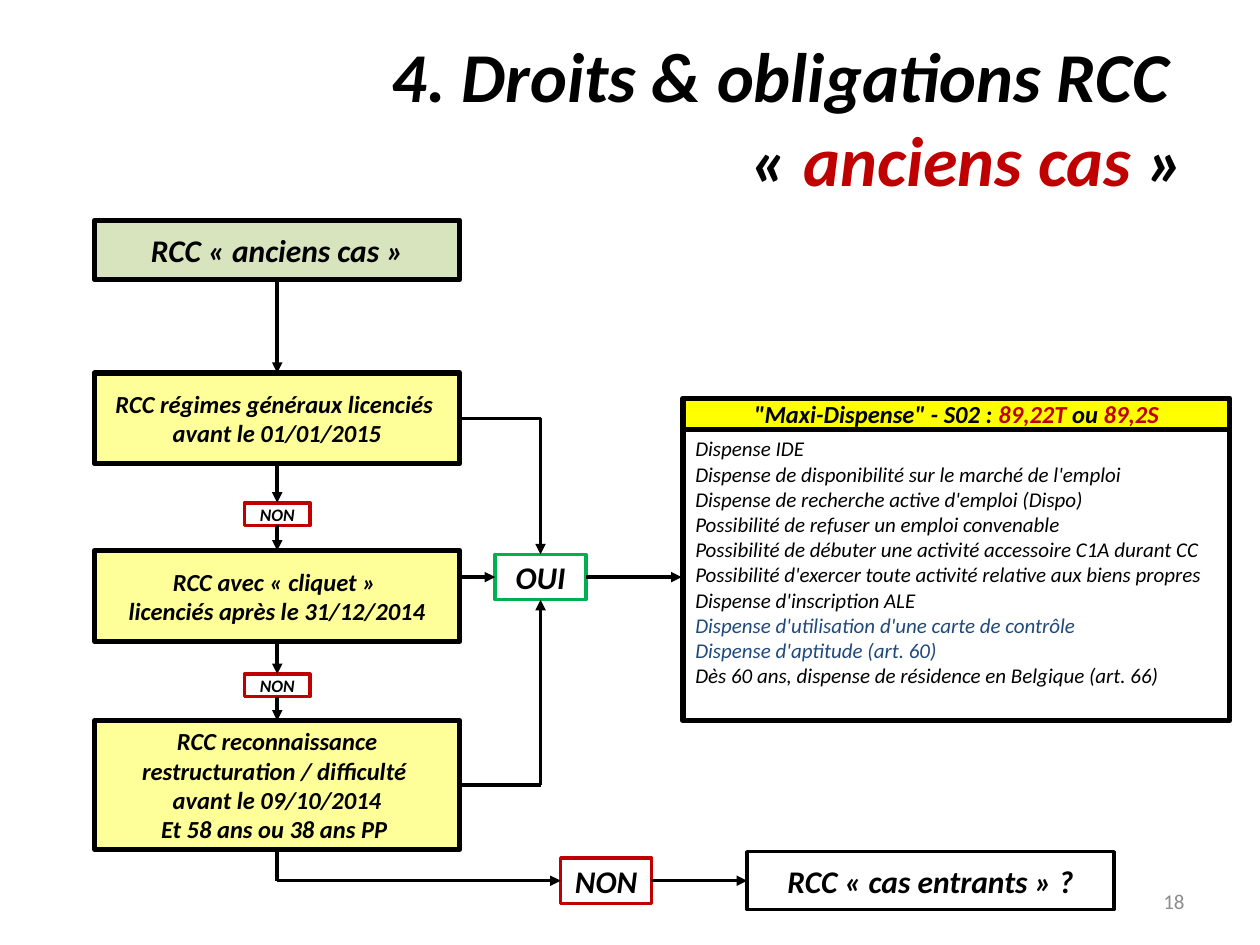
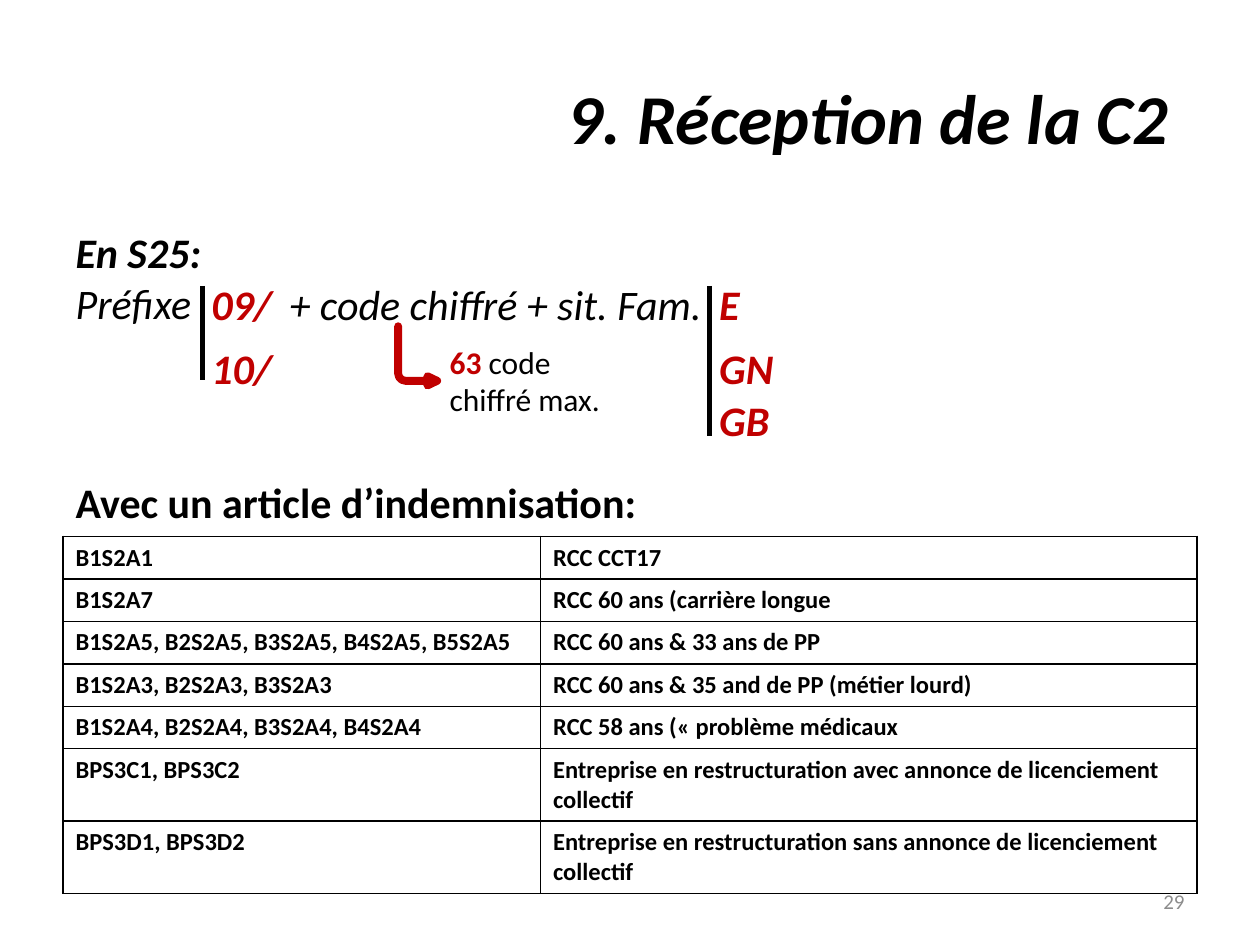
from copy import deepcopy

from pptx import Presentation
from pptx import util as u
from pptx.dml.color import RGBColor
from pptx.enum import shapes, text
from pptx.oxml.ns import qn
from pptx.oxml.xmlchemy import OxmlElement

FONT = "Calibri"
COLORS = {
    "black": "000000", "white": "FFFFFF", "red": "C00000", "green": "00B050",
    "pale_green": "D7E4BD", "pale_yellow": "FFFF99", "yellow": "FFFF00",
    "navy": "1F497D", "gray": "8C8C8C",
}
TOP, LEFT, BOTTOM, RIGHT = range(4)
ALIGN = text.PP_ALIGN
ANCHOR = text.MSO_ANCHOR
RED = {"color": "red"}
NAVY = {"color": "navy"}


def rgb(name):
    return RGBColor.from_string(COLORS[name])


def inches(*lengths):
    return [u.Inches(length) for length in lengths]


def sub_element(parent, tag, **attributes):
    element = OxmlElement(tag)
    for key, value in attributes.items():
        element.set(key, str(value))
    parent.append(element)
    return element


# Text
def add_run(paragraph, words, size, color="black", bold=False, italic=False):
    run = paragraph.add_run()
    run.text = words
    font = run.font
    font.name, font.size = FONT, u.Pt(size)
    font.bold, font.italic = bold, italic
    font.color.rgb = rgb(color)
    return run


def add_runs(paragraph, pieces, **style):
    """Each piece is a string, or a string with style changes; "\n" breaks the line."""
    for piece in pieces:
        if piece == "\n":
            paragraph.add_line_break()
            paragraph._p[-1].append(deepcopy(run._r.rPr))
            continue
        words, changes = (piece, {}) if isinstance(piece, str) else piece
        run = add_run(paragraph, words, **{**style, **changes})


def write(frame, paragraphs, align=ALIGN.LEFT, anchor=ANCHOR.TOP, **style):
    frame.word_wrap = True
    frame.auto_size = text.MSO_AUTO_SIZE.NONE
    frame.vertical_anchor = anchor
    for index, pieces in enumerate(paragraphs):
        paragraph = frame.add_paragraph() if index else frame.paragraphs[0]
        paragraph.alignment = align
        add_runs(paragraph, pieces, **style)


def add_text(slide, at, paragraphs, **style):
    frame = slide.shapes.add_textbox(*inches(*at)).text_frame
    write(frame, paragraphs, **style)
    return frame


# Shared slide frame
def place(shape, at):
    shape.left, shape.top, shape.width, shape.height = inches(*at)


def add_slide(presentation, layout, title, number):
    slide = presentation.slides.add_slide(presentation.slide_layouts.get_by_name(layout))
    place(slide.shapes.title, (0.5, 0.3, 9, 1.25))
    write(slide.shapes.title.text_frame, [title], align=ALIGN.RIGHT,
          anchor=ANCHOR.MIDDLE, size=40, bold=True, italic=True)
    add_text(slide, (7.17, 6.95, 2.33, 0.4), [[number]], align=ALIGN.RIGHT,
             anchor=ANCHOR.MIDDLE, size=12, color="gray")
    return slide


# Flowchart parts
def add_shape(slide, kind, at, fill=None, line="black", weight=2):
    shape = slide.shapes.add_shape(kind, *inches(*at))
    shape.shadow.inherit = False
    if fill:
        shape.fill.solid()
        shape.fill.fore_color.rgb = rgb(fill)
    else:
        shape.fill.background()
    shape.line.color.rgb = rgb(line)
    shape.line.width = u.Pt(weight)
    return shape


def add_box(slide, at, paragraphs, size=18, **look):
    box = add_shape(slide, shapes.MSO_SHAPE.RECTANGLE, at, **look)
    frame = box.text_frame
    frame.margin_top = frame.margin_bottom = 0
    write(frame, paragraphs, align=ALIGN.CENTER, anchor=ANCHOR.MIDDLE,
          size=size, bold=True, italic=True)
    return box


def side_point(shape, side):
    x = {LEFT: 0, RIGHT: shape.width}.get(side, shape.width // 2)
    y = {TOP: 0, BOTTOM: shape.height}.get(side, shape.height // 2)
    return shape.left + x, shape.top + y


def add_link(slide, start, end, arrow=True, weight=2):
    """Each end is (shape, side) or a point in inches."""
    joined = [not isinstance(first, (int, float)) for first, _ in (start, end)]
    points = [side_point(*where) if on_shape else inches(*where)
              for where, on_shape in zip((start, end), joined)]
    link = slide.shapes.add_connector(
        shapes.MSO_CONNECTOR.STRAIGHT, *points[0], *points[1])
    if joined[0]:
        link.begin_connect(*start)
    if joined[1]:
        link.end_connect(*end)
    link.line.color.rgb = rgb("black")
    link.line.width = u.Pt(weight)
    properties = link._element.spPr
    if arrow:
        sub_element(properties.find(qn("a:ln")), "a:tailEnd", type="triangle")
    sub_element(properties, "a:effectLst")


# Table
def set_borders(cell, visible):
    properties = cell._tc.get_or_add_tcPr()
    for index, side in enumerate("LRTB"):
        line = OxmlElement(f"a:ln{side}")
        line.set("w", str(u.Pt(1)))
        if side in visible:
            fill = sub_element(line, "a:solidFill")
            sub_element(fill, "a:srgbClr", val=COLORS["black"])
        else:
            sub_element(line, "a:noFill")
        properties.insert(index, line)


def add_article_table(slide, heading, rows):
    row_height = 0.29
    table = slide.shapes.add_table(
        len(rows) + 1, 2, *inches(0.5, 3.75, 9, row_height * (len(rows) + 1))).table
    table.first_row = table.horz_banding = False
    for column, width in zip(table.columns, (3.79, 5.21)):
        column.width = u.Inches(width)
    for row in table.rows:
        row.height = u.Inches(row_height)
    table.cell(0, 0).merge(table.cell(0, 1))
    for row_index, values in enumerate([(heading, "")] + rows):
        for column_index, value in enumerate(values):
            cell = table.cell(row_index, column_index)
            cell.fill.background()
            set_borders(cell, "LRTB" if row_index else "B")
            if value:
                add_run(cell.text_frame.paragraphs[0], value,
                        size=14 if row_index else 24, bold=True)


def build_rights_slide(presentation):
    slide = add_slide(presentation, "Title Only", [
        "4. Droits & obligations RCC ", "\n", "« ", ("anciens cas", RED), " »"], "18")

    # Cases, in one column
    def add_case(top, height, paragraphs, size=14, fill="pale_yellow"):
        return add_box(slide, (0.75, top, 2.9, height), paragraphs,
                       size=size, fill=fill, weight=3)

    start = add_case(1.75, 0.47, [["RCC « anciens cas »"]], 18, "pale_green")
    general = add_case(2.96, 0.72, [
        ["RCC régimes généraux licenciés "], ["avant le 01/01/2015"]])
    ratchet = add_case(4.37, 0.72, [
        ["RCC avec « cliquet » "], ["licenciés après le 31/12/2014"]])
    restructuring = add_case(5.72, 1.02, [
        ["RCC reconnaissance restructuration / difficulté "],
        ["avant le 09/10/2014"], ["Et 58 ans ou 38 ans PP "]])

    # Answers
    first_no, second_no = [
        add_box(slide, (1.94, top, 0.52, 0.18), [["NON"]], size=10, line="red")
        for top in (3.99, 5.35)]
    yes = add_box(slide, (3.93, 4.4, 0.72, 0.36), [["OUI"]], line="green")
    last_no = add_box(slide, (4.45, 6.81, 0.72, 0.36), [["NON"]], line="red")
    new_cases = add_box(slide, (5.93, 6.76, 2.91, 0.46), [["RCC « cas entrants » ?"]])

    # Exemptions
    add_box(slide, (5.42, 3.16, 4.34, 0.25), [[
        '"Maxi-Dispense" - S02 : ', ("89,22T", RED), " ou ", ("89,2S", RED)]],
        size=14, fill="yellow", weight=3)
    exemptions = add_shape(slide, shapes.MSO_SHAPE.RECTANGLE,
                           (5.42, 3.41, 4.34, 2.31), fill="white", weight=3)
    write(exemptions.text_frame, [
        ["Dispense IDE"],
        ["Dispense de disponibilité sur le marché de l'emploi"],
        ["Dispense de recherche active d'emploi (Dispo)"],
        ["Possibilité de refuser un emploi convenable"],
        ["Possibilité de débuter une activité accessoire C1A durant CC"],
        ["Possibilité d'exercer toute activité relative aux biens propres"],
        ["Dispense d'inscription ALE"],
        [("Dispense d'utilisation d'une carte de contrôle", NAVY)],
        [("Dispense d'aptitude (art. 60)", NAVY)],
        ["Dès 60 ans, dispense de résidence en Belgique (art. 66)"],
    ], size=12, italic=True)

    # Downward chain
    chain = [start, general, first_no, ratchet, second_no, restructuring]
    for upper, lower in zip(chain, chain[1:]):
        add_link(slide, (upper, BOTTOM), (lower, TOP))

    # Ways to yes
    for case, middle, side in ((general, 3.32, TOP), (restructuring, 6.23, BOTTOM)):
        add_link(slide, (case, RIGHT), (4.29, middle), arrow=False)
        add_link(slide, (4.29, middle), (yes, side))
    add_link(slide, (3.65, 4.58), (yes, LEFT))
    add_link(slide, (yes, RIGHT), (5.41, 4.58))

    # Way to the new cases
    add_link(slide, (restructuring, BOTTOM), (2.2, 6.99), arrow=False)
    add_link(slide, (2.2, 6.99), (last_no, LEFT))
    add_link(slide, (last_no, RIGHT), (new_cases, LEFT))


def build_reception_slide(presentation):
    slide = add_slide(presentation, "Title and Content", ["9. Réception de la C2 "], "29")

    # Start of the code formula
    body = slide.placeholders[1]
    place(body, (0.5, 1.75, 1.4, 0.95))
    write(body.text_frame, [["En S25:"], [("Préfixe", {"bold": False})]],
          size=24, bold=True, italic=True)
    for paragraph in body.text_frame.paragraphs:
        properties = paragraph._p.get_or_add_pPr()
        properties.set("marL", "0")
        properties.set("indent", "0")
        sub_element(properties, "a:buNone")
        paragraph.space_before = u.Pt(0)

    # Rest of the formula, with the choices in columns
    formula_top = 2.16

    def add_choices(left, width, choices):
        frame = add_text(slide, (left, formula_top, width, 1.4),
                         [[choice] for choice in choices],
                         size=24, color="red", bold=True, italic=True)
        for paragraph, space in zip(frame.paragraphs[1:], (8, 1)):
            paragraph.space_before = u.Pt(space)

    add_choices(1.58, 0.8, ["09/", "10/"])
    add_text(slide, (2.2, formula_top, 3.6, 0.51), [["+ code chiffré + sit. Fam."]],
             size=24, italic=True)
    add_choices(5.61, 0.8, ["E", "GN", "GB"])

    # Note on the numeric code
    arrow = add_shape(slide, shapes.MSO_SHAPE.BENT_ARROW, (3.16, 2.59, 0.31, 0.47),
                      fill="red", line="red", weight=4.5)
    for index, value in enumerate((0, 0.12, 0.25, 0.19)):
        arrow.adjustments[index] = value
    arrow._element.spPr.find(qn("a:xfrm")).set("flipV", "1")
    add_text(slide, (3.47, 2.67, 1.65, 0.71), [
        [("63", {"color": "red", "bold": True}), " code chiffré max."]], size=18)

    # Bars beside the choices
    for x, bottom in ((1.61, 3.02), (5.63, 3.46)):
        add_link(slide, (x, 2.27), (x, bottom), arrow=False, weight=3)

    add_article_table(slide, "Avec un article d’indemnisation:", [
        ("B1S2A1", "RCC CCT17"),
        ("B1S2A7", "RCC 60 ans (carrière longue"),
        ("B1S2A5, B2S2A5, B3S2A5, B4S2A5, B5S2A5", "RCC 60 ans & 33 ans de PP"),
        ("B1S2A3, B2S2A3, B3S2A3", "RCC 60 ans & 35 and de PP (métier lourd)"),
        ("B1S2A4, B2S2A4, B3S2A4, B4S2A4", "RCC 58 ans (« problème médicaux"),
        ("BPS3C1, BPS3C2",
         "Entreprise en restructuration avec annonce de licenciement collectif"),
        ("BPS3D1, BPS3D2",
         "Entreprise en restructuration sans annonce de licenciement collectif"),
    ])


def main():
    presentation = Presentation()
    presentation.slide_width, presentation.slide_height = inches(10, 7.5)
    build_rights_slide(presentation)
    build_reception_slide(presentation)
    presentation.save("out.pptx")


if __name__ == "__main__":
    main()
